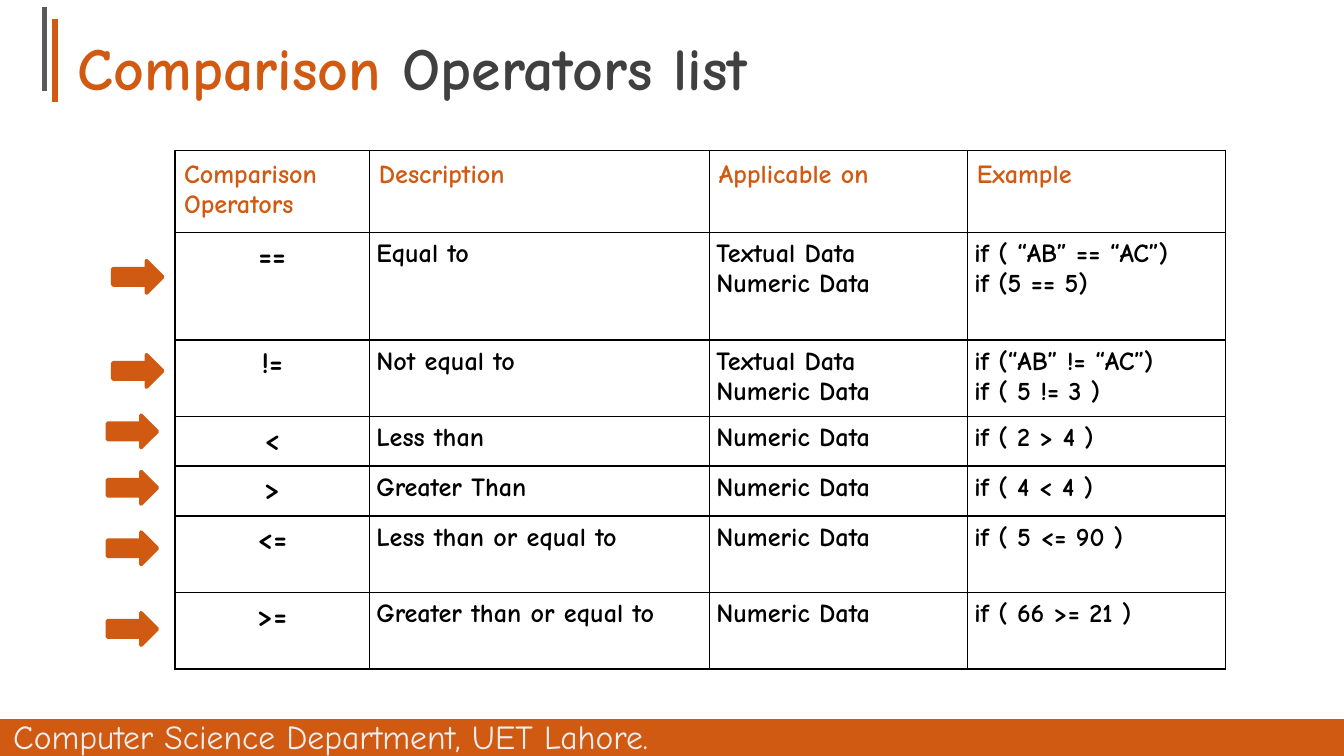
from lxml.etree import SubElement
from pptx import Presentation
from pptx.dml.color import RGBColor
from pptx.enum.shapes import MSO_CONNECTOR, MSO_SHAPE
from pptx.enum.text import MSO_ANCHOR, PP_ALIGN
from pptx.oxml.ns import qn
from pptx.util import Inches, Pt

ORANGE = RGBColor(0xD1, 0x5A, 0x12)
GRAY = RGBColor(0x59, 0x59, 0x59)
DARK = RGBColor(0x40, 0x40, 0x40)
LIGHT = RGBColor(0xEE, 0xEE, 0xEE)
BLACK = RGBColor(0, 0, 0)


def add_run(paragraph, text, size, color, bold=True):
    run = paragraph.add_run()
    run.text = text
    run.font.name = "Comic Neue"
    run.font.size = Pt(size)
    run.font.bold = bold
    run.font.color.rgb = color


def add_borders(cell):
    properties = cell._tc.get_or_add_tcPr()
    for side in ("a:lnL", "a:lnR", "a:lnT", "a:lnB"):
        border = SubElement(properties, qn(side), w=str(Pt(1)))
        fill = SubElement(border, qn("a:solidFill"))
        SubElement(fill, qn("a:srgbClr"), val=str(BLACK))


presentation = Presentation()
presentation.slide_width = Inches(10)
presentation.slide_height = Inches(10) * 9 // 16
slide = presentation.slides.add_slide(presentation.slide_layouts[6])
shapes = slide.shapes

for x, top, bottom, color in ((0.41, 0.14, 0.76, ORANGE), (0.33, 0.05, 0.68, GRAY)):
    bar = shapes.add_connector(
        MSO_CONNECTOR.STRAIGHT, Inches(x), Inches(top), Inches(x), Inches(bottom)
    )
    bar.line.color.rgb = color
    bar.line.width = Pt(3)
    SubElement(bar._element.spPr, qn("a:effectLst"))

band = shapes.add_shape(
    MSO_SHAPE.RECTANGLE, Inches(0), Inches(5.35), Inches(10), Inches(0.31)
)
band.shadow.inherit = False
band.fill.solid()
band.fill.fore_color.rgb = ORANGE
band.line.fill.background()

footer = shapes.add_textbox(Inches(0), Inches(5.28), Inches(6.38), Inches(0.68)).text_frame
footer.word_wrap = True
add_run(footer.paragraphs[0], "Computer Science Department, UET Lahore.", 18, LIGHT, False)

title = shapes.add_textbox(Inches(0), Inches(0), Inches(10), Inches(0.86)).text_frame
title.word_wrap = True
title.vertical_anchor = MSO_ANCHOR.BOTTOM
title.margin_left = Inches(0.58)
title.margin_top = title.margin_bottom = Inches(0.1)
add_run(title.paragraphs[0], "Comparison ", 32, ORANGE)
add_run(title.paragraphs[0], "Operators list", 32, DARK)

BOTH = ["Textual Data", "Numeric Data"]
NUMERIC = ["Numeric Data"]
rows = [
    (0.61, "Comparison Operators", "Description", ["Applicable on"], ["Example"]),
    (0.8, "==", "Equal to", BOTH, ["if ( “AB” == “AC”)", "if (5 == 5)"]),
    (0.57, "!=", "Not equal to", BOTH, ["if (“AB” != “AC”)", "if ( 5 != 3 )"]),
    (0.37, "<", "Less than", NUMERIC, ["if ( 2 > 4 )"]),
    (0.37, ">", "Greater Than", NUMERIC, ["if ( 4 < 4 )"]),
    (0.57, "<=", "Less than or equal to", NUMERIC, ["if ( 5 <= 90 )"]),
    (0.57, ">=", "Greater than or equal to", NUMERIC, ["if ( 66 >= 21 )"]),
]
widths = (1.45, 2.53, 1.92, 1.92)
table = shapes.add_table(
    len(rows), len(widths), Inches(1.3), Inches(1.12), Inches(7.83), Inches(3.84)
).table
for column, width in zip(table.columns, widths):
    column.width = Inches(width)

for row_index, (height, operator, description, data_types, examples) in enumerate(rows):
    table.rows[row_index].height = Inches(height)
    is_header = row_index == 0
    margin = Inches(0.07 if is_header else 0.05)
    color = ORANGE if is_header else BLACK
    for column_index, lines in enumerate(([operator], [description], data_types, examples)):
        cell = table.cell(row_index, column_index)
        cell.margin_left = cell.margin_right = margin
        cell.margin_top = cell.margin_bottom = margin
        add_borders(cell)
        cell.fill.background()
        is_operator = column_index == 0 and not is_header
        paragraph = cell.text_frame.paragraphs[0]
        paragraph.alignment = PP_ALIGN.CENTER if is_operator else PP_ALIGN.LEFT
        for line_index, line in enumerate(lines):
            if line_index and lines is examples:
                paragraph.add_line_break()
            elif line_index:
                paragraph = cell.text_frame.add_paragraph()
            add_run(paragraph, line, 16 if is_operator else 14, color)

for left, top in ((0.84, 1.94), (0.84, 2.64), (0.8, 3.09), (0.8, 3.51), (0.8, 3.96), (0.8, 4.56)):
    arrow = shapes.add_shape(
        MSO_SHAPE.RIGHT_ARROW, Inches(left), Inches(top), Inches(0.37), Inches(0.24)
    )
    arrow.shadow.inherit = False
    arrow.fill.solid()
    arrow.fill.fore_color.rgb = ORANGE
    arrow.line.color.rgb = ORANGE
    arrow.line.width = Pt(2)

presentation.save("out.pptx")
